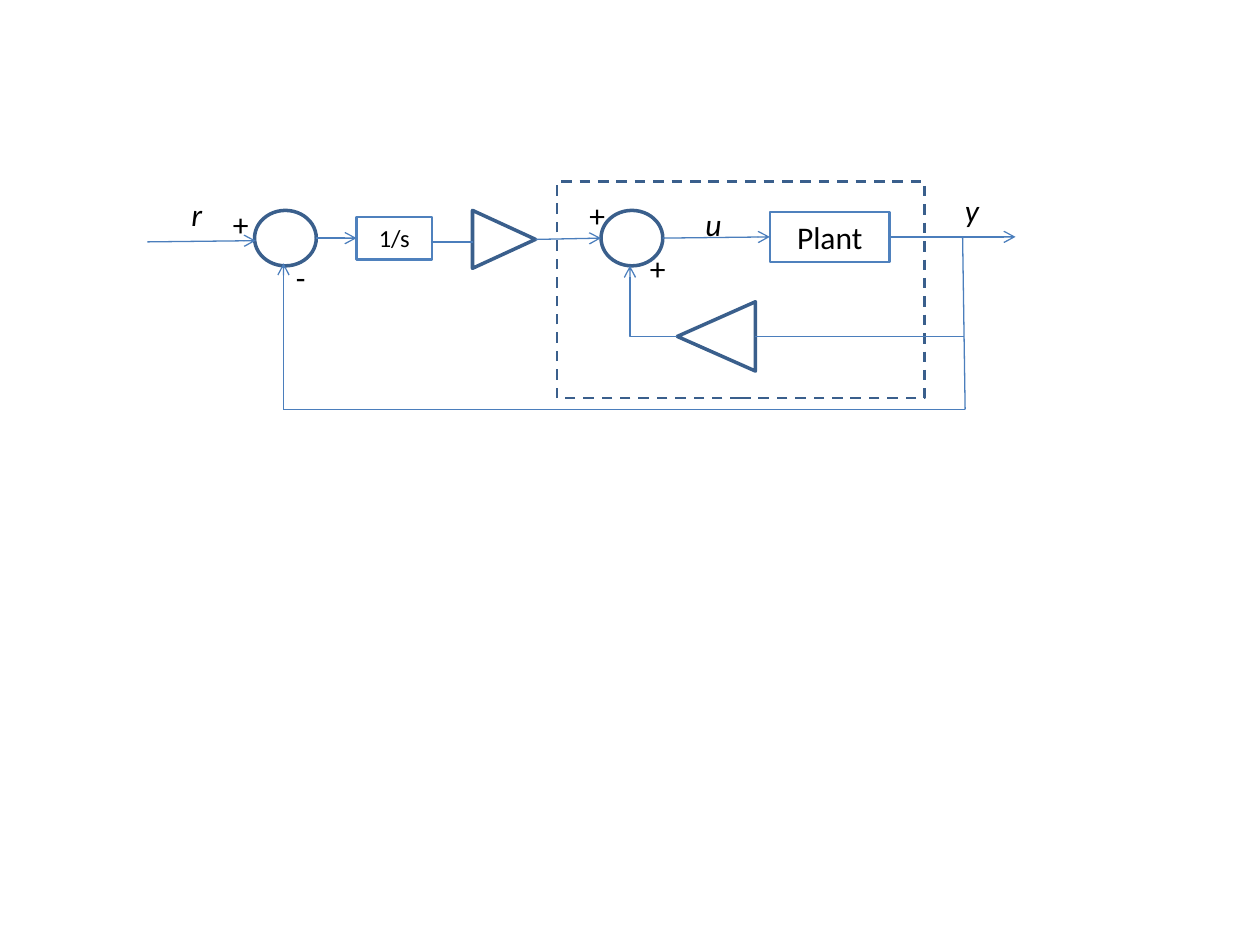
from pptx import Presentation
from pptx.dml.color import RGBColor
from pptx.enum.dml import MSO_LINE as Dash
from pptx.enum.shapes import MSO_CONNECTOR as Link, MSO_SHAPE as Form
from pptx.enum.text import MSO_AUTO_SIZE as Fit, PP_ALIGN as Align
from pptx.oxml.ns import qn
from pptx.util import Inches, Pt
from lxml.etree import SubElement

BLACK = RGBColor(0, 0, 0)
EDGE = RGBColor(0x3A, 0x5F, 0x8C)
BLOCK = RGBColor(0x4F, 0x81, 0xBD)
WIRE = RGBColor(0x4B, 0x7E, 0xBC)
SUM = (0.49, 0.44)


def write(frame, text, size=18, **style):
    frame.auto_size = Fit.SHAPE_TO_FIT_TEXT
    run = frame.paragraphs[0].add_run()
    run.text = text
    look = {"name": "Calibri", "size": Pt(size), **style}
    for key, value in look.items():
        setattr(run.font, key, value)
    run.font.color.rgb = BLACK


class Panel:
    """Draws parts at inch offsets from the top left of its box."""

    def __init__(self, slide, left, top):
        self.shapes, self.left, self.top = slide.shapes, left, top

    def point(self, x, y):
        return Inches(self.left + x), Inches(self.top + y)

    def shape(self, form, at, size, color=EDGE, width=2, turn=0):
        part = self.shapes.add_shape(form, *self.point(*at), *map(Inches, size))
        part.shadow.inherit = False
        part.rotation = turn
        part.fill.background()
        part.line.color.rgb = color
        part.line.width = Pt(width)
        return part

    def block(self, text, at, size, points):
        part = self.shape(Form.RECTANGLE, at, size, BLOCK, 1.25)
        write(part.text_frame, text, points)
        part.text_frame.paragraphs[0].alignment = Align.CENTER

    def label(self, text, at, width=0.25):
        """Signals are italic and unwrapped; signs are upright."""
        box = self.shapes.add_textbox(*self.point(*at), Inches(width), Inches(0.4))
        signal = text.isalpha()
        box.text_frame.word_wrap = not signal
        write(box.text_frame, text, italic=signal)

    def wire(self, start, end, arrow=True, bent=False):
        kind = Link.ELBOW if bent else Link.STRAIGHT
        line = self.shapes.add_connector(kind, *self.point(*start), *self.point(*end))
        line.line.color.rgb = WIRE
        line.line.width = Pt(0.75)
        props = line._element.spPr
        if bent:
            props.find(qn("a:prstGeom")).set("prst", "bentConnector2")
        if arrow:
            SubElement(props.find(qn("a:ln")), qn("a:tailEnd"), type="arrow")
        SubElement(props, qn("a:effectLst"))


def inner_loop(slide, left, top):
    """Dashed frame with the plant and its feedback gain."""
    panel = Panel(slide, left, top)
    frame = panel.shape(Form.RECTANGLE, (0, 0), (2.92, 1.72), width=1.5)
    frame.line.dash_style = Dash.DASH
    panel.shape(Form.OVAL, (0.35, 0.23), SUM)
    panel.block("Plant", (1.69, 0.24), (0.95, 0.4), 18)
    panel.shape(Form.ISOSCELES_TRIANGLE, (0.99, 0.92), (0.55, 0.62), turn=270)
    panel.wire((0.84, 0.45), (1.69, 0.44))
    panel.wire((3.23, 1.23), (1.57, 1.23), arrow=False)
    panel.wire((0.95, 1.23), (0.58, 0.67), bent=True)
    for at in ((0.16, 0.07), (0.64, 0.49)):
        panel.label("+", at)
    panel.label("u", (1.08, 0.14), 0.33)


def outer_loop(slide, left, top):
    """Reference, integrator, forward gain and output feedback."""
    panel = Panel(slide, left, top)
    panel.shape(Form.OVAL, (0.85, 0.23), SUM)
    panel.block("1/s", (1.66, 0.28), (0.6, 0.34), 14)
    panel.shape(Form.ISOSCELES_TRIANGLE, (2.6, 0.21), (0.46, 0.5), turn=90)
    for start, end, arrow in (
        ((0, 0.48), (0.86, 0.47), True),
        ((1.34, 0.45), (1.66, 0.45), True),
        ((2.25, 0.48), (2.58, 0.48), False),
        ((3.08, 0.46), (3.6, 0.45), True),
        ((5.9, 0.44), (6.89, 0.44), True),
        ((6.47, 0.44), (6.49, 1.81), False),
        ((6.49, 1.81), (1.08, 1.81), False),
        ((1.08, 1.81), (1.08, 0.65), True),
    ):
        panel.wire(start, end, arrow)
    panel.label("r", (0.25, 0.06), 0.29)
    panel.label("y", (6.39, 0.03), 0.31)
    panel.label("+", (0.58, 0.14))
    panel.label("-", (1.08, 0.56))


def main():
    deck = Presentation()
    deck.slide_width, deck.slide_height = Inches(10), Inches(7.5)
    slide = deck.slides.add_slide(deck.slide_layouts[6])
    inner_loop(slide, 4.42, 1.44)
    outer_loop(slide, 1.17, 1.44)
    deck.save("out.pptx")


if __name__ == "__main__":
    main()
